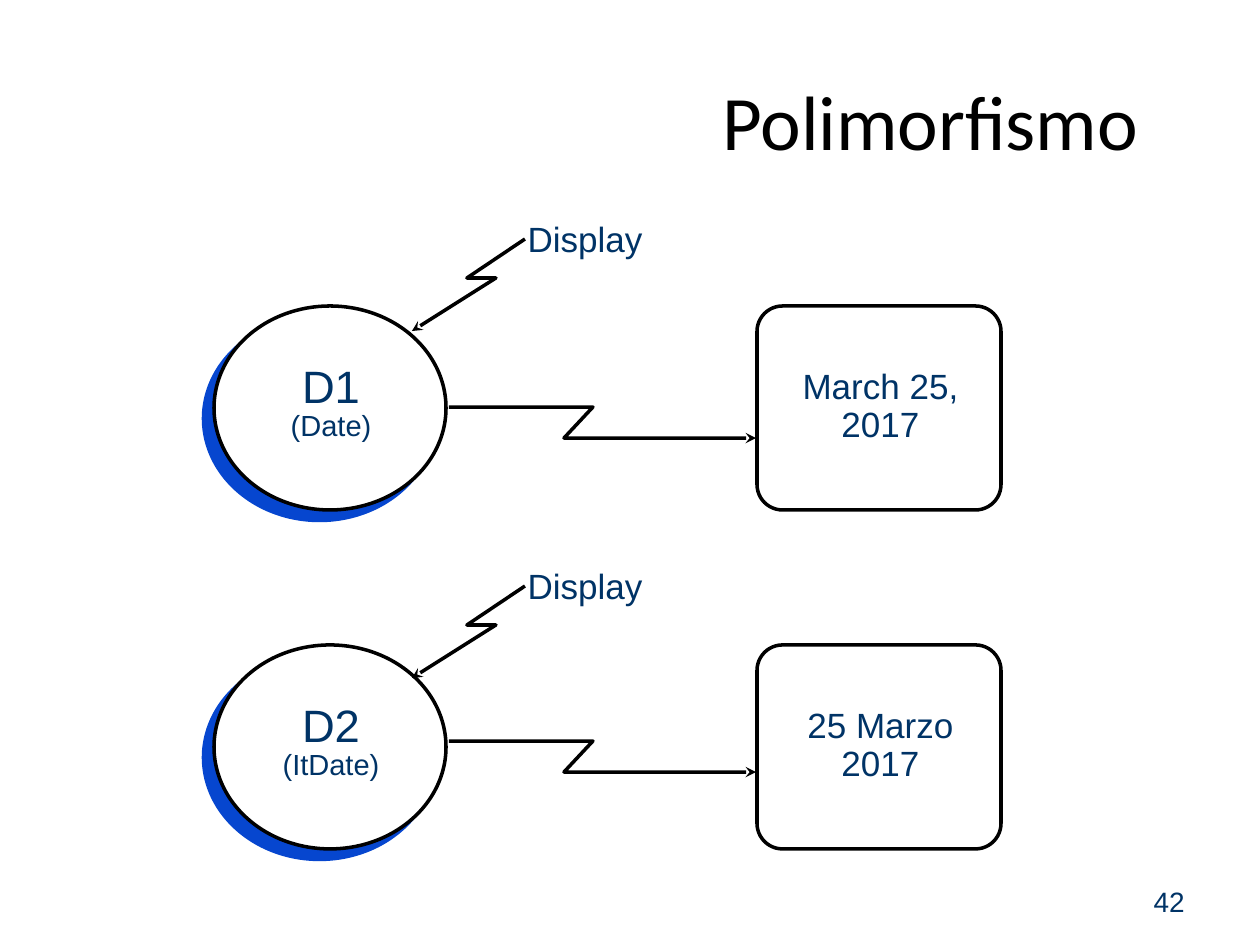
import dataclasses

import pptx
import pptx.dml.color
import pptx.enum.shapes
import pptx.enum.text
import pptx.oxml.ns
import pptx.util
from lxml import etree

SCALE = 914400 / 126
KIND = pptx.enum.shapes.MSO_SHAPE
ALIGN = pptx.enum.text.PP_ALIGN
NAME = pptx.oxml.ns.qn


@dataclasses.dataclass(frozen=True)
class Theme:
    ink: str = "003366"
    dark: str = "000000"
    pale: str = "FFFFFF"
    shade: str = "0646CF"
    font: str = "Arial"
    head: str = "Calibri"
    title: float = 44
    name: float = 25.9
    kind: float = 16.6
    body: float = 20
    page: float = 16
    line: float = 2


THEME = Theme()


def px(size):
    return pptx.util.Emu(round(size * SCALE))


def rgb(code):
    return pptx.dml.color.RGBColor.from_string(code)


def text(slide, box, lines, font=THEME.font, color=THEME.ink,
         align=ALIGN.CENTER, space=1.0, before=0):
    """Write (words, size) lines; before is the gap in points between them."""
    frame = slide.shapes.add_textbox(*map(px, box)).text_frame
    frame.word_wrap = True
    frame.vertical_anchor = pptx.enum.text.MSO_ANCHOR.MIDDLE
    for i, (words, size) in enumerate(lines):
        para = frame.add_paragraph() if i else frame.paragraphs[0]
        para.alignment = align
        para.line_spacing = space
        if i:
            para.space_before = pptx.util.Pt(before)
        run = para.add_run()
        run.text = words
        run.font.name = font
        run.font.size = pptx.util.Pt(size)
        run.font.color.rgb = rgb(color)


def edge(shape):
    shape.shadow.inherit = False
    shape.line.color.rgb = rgb(THEME.dark)
    shape.line.width = pptx.util.Pt(THEME.line)


def shade(shape):
    """Cast a hard shadow down and to the left."""
    effects = shape.element.spPr.find(NAME("a:effectLst"))
    cast = etree.SubElement(
        effects, NAME("a:outerShdw"), dist=str(pptx.util.Pt(8.5)),
        dir=str(135 * 60000), algn="ctr", rotWithShape="0")
    etree.SubElement(cast, NAME("a:srgbClr"), val=THEME.shade)


def oval(slide, box):
    shape = slide.shapes.add_shape(KIND.OVAL, *map(px, box))
    edge(shape)
    shape.fill.solid()
    shape.fill.fore_color.rgb = rgb(THEME.pale)
    shade(shape)


def card(slide, box):
    shape = slide.shapes.add_shape(KIND.ROUNDED_RECTANGLE, *map(px, box))
    shape.adjustments[0] = 0.125
    edge(shape)
    shape.fill.background()


def bolt(slide, top, points):
    """Draw a bent arrow; the points are measured down from top."""
    spots = [(x, top + y) for x, y in points]
    path = slide.shapes.build_freeform(*spots[0], scale=SCALE)
    path.add_line_segments(spots[1:], close=False)
    shape = path.convert_to_shape()
    edge(shape)
    shape.fill.background()
    line = shape.element.spPr.find(NAME("a:ln"))
    etree.SubElement(line, NAME("a:round"))
    etree.SubElement(line, NAME("a:tailEnd"), type="stealth")


def call(slide, top, link, label, name, kind, reply):
    """Draw one object, the message sent to it and its reply."""
    oval(slide, (214, top, 232, 204))
    text(slide, (213, top + 57, 236, 89),
         [(name, THEME.name), (kind, THEME.kind)], space=0.7, before=3.4)
    card(slide, (757, top, 244, 204))
    text(slide, (755, top + 54, 251, 95), [(reply, THEME.body)], space=0.9)
    bolt(slide, link, [(449, 0), (593, 0), (564, 31), (756, 31)])
    text(slide, (512, label, 146, 63), [("Display", THEME.body)], space=0.9)
    bolt(slide, label, [(525, 29), (467, 68), (496, 68), (412, 121)])


def main():
    deck = pptx.Presentation()
    deck.slide_width, deck.slide_height = px(1260), px(945)
    slide = deck.slides.add_slide(deck.slide_layouts[6])
    call(slide, 306, 407, 210, "D1", "(Date)", "March 25, 2017")
    call(slide, 645, 741, 557, "D2", "(ItDate)", "25 Marzo 2017")
    text(slide, (903, 876, 294, 50), [("42", THEME.page)], align=ALIGN.RIGHT)
    text(slide, (601, 66, 659, 107), [("Polimorfismo", THEME.title)],
         font=THEME.head, color=THEME.dark)
    deck.save("out.pptx")


if __name__ == "__main__":
    main()
